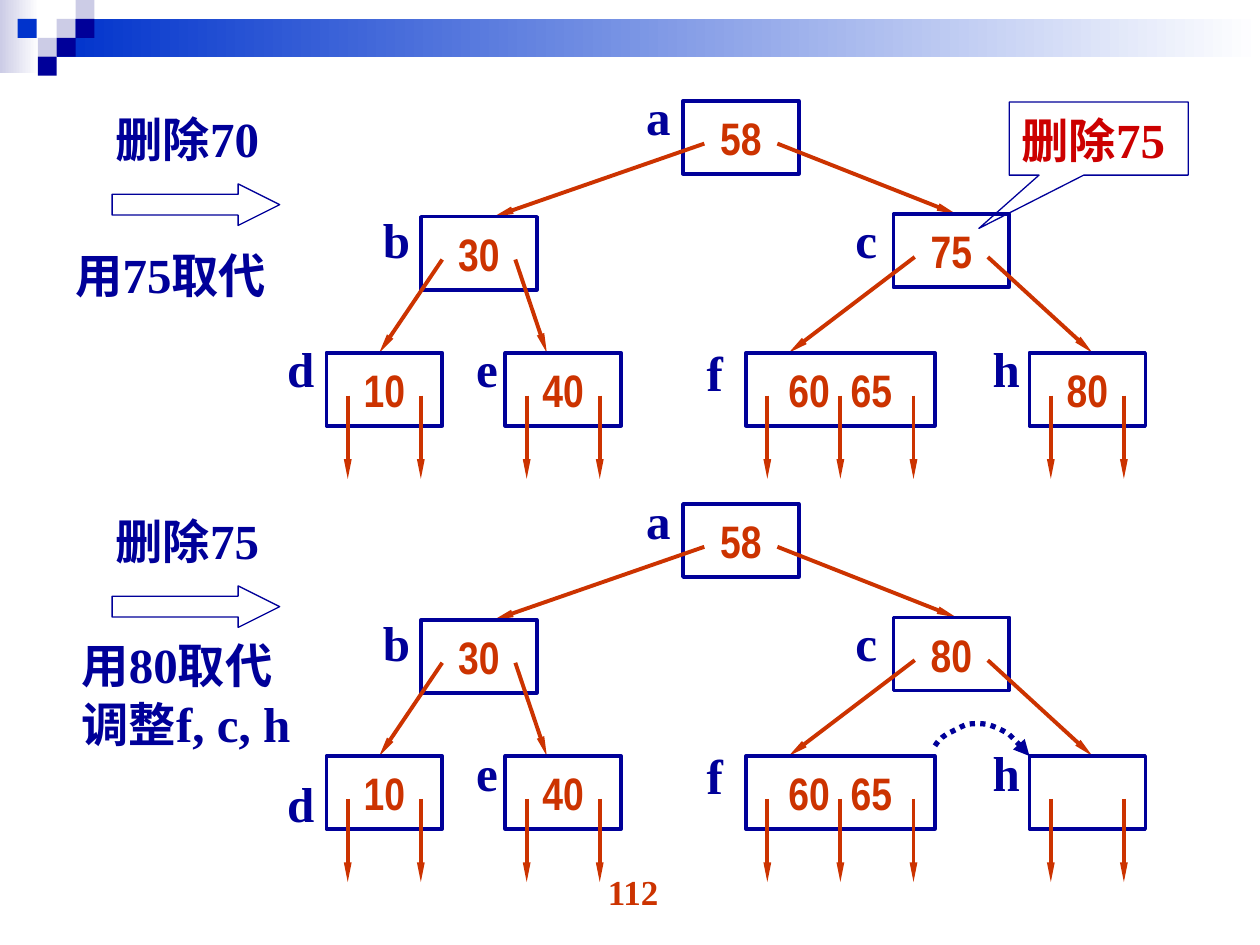
from pptx import Presentation
from pptx.dml.color import RGBColor
from pptx.enum.dml import MSO_LINE
from pptx.enum.shapes import MSO_CONNECTOR, MSO_SHAPE
from pptx.enum.text import MSO_ANCHOR, MSO_AUTO_SIZE, PP_ALIGN
from pptx.oxml.ns import qn
from pptx.oxml.xmlchemy import OxmlElement
from pptx.util import Inches, Pt

RECTANGLE = MSO_SHAPE.RECTANGLE
RIGHT_ARROW = MSO_SHAPE.RIGHT_ARROW
CALLOUT = MSO_SHAPE.RECTANGULAR_CALLOUT
STRAIGHT = MSO_CONNECTOR.STRAIGHT
DOTTED = MSO_LINE.ROUND_DOT
CENTER = PP_ALIGN.CENTER
MIDDLE = MSO_ANCHOR.MIDDLE
GROW = MSO_AUTO_SIZE.SHAPE_TO_FIT_TEXT

NAVY, BLUE, PALE, WHITE = "000099", "0033CC", "CCCCE6", "FFFFFF"
ORANGE, RED = "CC3300", "CC0000"
SERIF, NARROW = "Times New Roman", "Arial Narrow"

NODE_HEIGHT = 0.58
POINTER_INSET, POINTER_STEP, POINTER_DROP = 0.17, 0.58, 0.34
LEAF_POINTER_LENGTH = 0.66

NODES = {
    "a": (2.83, 0, 0.92, 2.44, -0.16, 0.39),
    "b": (0.75, 0.92, 0.92, 0.35, 0.81, 0.41),
    "c": (4.5, 0.9, 0.92, 4.1, 0.81, 0.37),
    "d": (0, 2, 0.92, -0.41, 1.84, 0.41),
    "e": (1.42, 2, 0.92, 1.09, 1.84, 0.37),
    "f": (3.33, 2, 1.5, 2.92, 1.87, 0.33),
    "h": (5.58, 2, 0.92, 5.19, 1.84, 0.41),
}
CHILD_LANDINGS = {
    "a": (("b", 1.33), ("c", 5)),
    "b": (("d", 0.42), ("e", 1.75)),
    "c": (("f", 3.67), ("h", 6.08)),
}


def color(hex_string):
    """Return the colour for a hex string."""
    return RGBColor.from_string(hex_string)


def add_run(paragraph, text, size, font, hex_color):
    """Append one bold run to a paragraph and return it."""
    run = paragraph.add_run()
    run.text = text
    run.font.size = Pt(size)
    run.font.name = font
    run.font.bold = True
    run.font.color.rgb = color(hex_color)
    return run


def add_text(shapes, box, lines, hex_color=NAVY, wrap=False):
    """Add a serif text box from lines of (text, size) runs."""
    shape = shapes.add_textbox(*map(Inches, box))
    frame = shape.text_frame
    frame.word_wrap = wrap
    frame.auto_size = GROW
    for index, runs in enumerate(lines):
        paragraph = frame.add_paragraph() if index else frame.paragraphs[0]
        for text, size in runs:
            add_run(paragraph, text, size, SERIF, hex_color)
    return shape


def add_outline(shapes, kind, box, width):
    """Add an unfilled preset shape with a navy outline."""
    shape = shapes.add_shape(kind, *map(Inches, box))
    shape.shadow.inherit = False
    shape.fill.background()
    shape.line.color.rgb = color(NAVY)
    shape.line.width = Pt(width)
    return shape


def add_arrowhead(shape, width="med", length="med"):
    """Put a triangle at the end of a shape's line."""
    tail = OxmlElement("a:tailEnd")
    tail.set("type", "triangle")
    tail.set("w", width)
    tail.set("len", length)
    shape.line._get_or_add_ln().append(tail)


def add_pointer(shapes, start, end):
    """Add an orange arrow between two points."""
    connector = shapes.add_connector(STRAIGHT, *map(Inches, (*start, *end)))
    connector.line.color.rgb = color(ORANGE)
    connector.line.width = Pt(2.25)
    add_arrowhead(connector, "sm", "lg")
    connector._element.spPr.append(OxmlElement("a:effectLst"))


def add_node(shapes, box, keys):
    """Add a node box with its keys spread apart."""
    frame = add_outline(shapes, RECTANGLE, box, 2).text_frame
    frame.word_wrap = False
    frame.vertical_anchor = MIDDLE
    paragraph = frame.paragraphs[0]
    paragraph.alignment = CENTER
    for index, key in enumerate(keys):
        if index:
            gap = add_run(paragraph, " ", 26, NARROW, ORANGE)
            gap.font._element.set("spc", "590")
        add_run(paragraph, key, 26, NARROW, ORANGE)


def add_tree(slide, left, top, keys, label_shifts):
    """Draw a tree of labelled nodes with its pointers from a corner."""
    shapes = slide.shapes.add_group_shape().shapes
    for name, (x, y, width, label_x, label_y, label_width) in NODES.items():
        x, y = left + x, top + y
        add_node(shapes, (x, y, width, NODE_HEIGHT), keys[name])
        label_top = top + label_y + label_shifts.get(name, 0)
        add_text(shapes, (left + label_x, label_top, label_width, 0.57), [[(name, 28)]])
        starts = [x + POINTER_INSET + POINTER_STEP * index
                  for index in range(3 if name == "f" else 2)]
        start_y = y + POINTER_DROP
        if name in CHILD_LANDINGS:
            ends = [(left + land_x, top + NODES[child][1])
                    for child, land_x in CHILD_LANDINGS[name]]
        else:
            ends = [(start_x, start_y + LEAF_POINTER_LENGTH) for start_x in starts]
        for start_x, end in zip(starts, ends):
            add_pointer(shapes, (start_x, start_y), end)


def add_step(slide, left, top, key, note_box, note_lines):
    """Draw a deletion heading, its block arrow and the note below."""
    shapes = slide.shapes.add_group_shape().shapes
    add_text(shapes, (left, top, 1.43, 0.57), [[("删除", 27), (str(key), 28)]])
    arrow_box = (left + 0.07, top + 0.65, 1.33, 0.33)
    add_outline(shapes, RIGHT_ARROW, arrow_box, 0.75).adjustments[1] = 1
    add_text(shapes, note_box, note_lines)


def add_callout(slide, left, top):
    """Draw the callout that names the next key to delete."""
    shapes = slide.shapes.add_group_shape().shapes
    callout = add_outline(shapes, CALLOUT, (left, top, 1.42, NODE_HEIGHT), 0.75)
    callout.adjustments[0] = -0.67
    callout.adjustments[1] = 1.23
    add_text(shapes, (left, top + 0.01, 1.77, 0.57), [[("删除", 27), ("75", 28)]], RED, True)


def add_header(slide, left, top):
    """Draw the gradient bars and the small squares of the header."""
    shapes = slide.shapes.add_group_shape().shapes
    bars = [((0, 0, 0.31, 0.58), PALE), ((0.45, 0.15, 9.55, 0.3), BLUE)]
    squares = [(0.45, 0.15, PALE), (0.6, 0, PALE), (0.6, 0.15, NAVY), (0.3, 0.3, PALE),
               (0.14, 0.15, BLUE), (0.45, 0.3, NAVY), (0.3, 0.45, NAVY)]
    parts = bars + [((x, y, 0.15, 0.15), fill) for x, y, fill in squares]
    for (x, y, width, height), hex_color in parts:
        shape = shapes.add_shape(RECTANGLE, *map(Inches, (left + x, top + y, width, height)))
        shape.shadow.inherit = False
        shape.line.fill.background()
        if width == height:
            shape.fill.solid()
            shape.fill.fore_color.rgb = color(hex_color)
        else:
            shape.fill.gradient()
            shape.fill.gradient_angle = 0
            for stop, stop_color in zip(shape.fill.gradient_stops, (hex_color, WHITE)):
                stop.color.rgb = color(stop_color)


def add_transfer_curve(slide, left, top):
    """Draw the dotted curved arrow from node f to node h."""
    points = [(0.02, 0.15), (0.04, 0.12), (0.09, 0.09), (0.13, 0.07), (0.2, 0.03),
              (0.25, 0.01), (0.31, 0), (0.36, 0), (0.42, 0.01), (0.48, 0.03),
              (0.53, 0.05), (0.59, 0.09), (0.64, 0.14), (0.73, 0.23), (0.75, 0.26)]
    builder = slide.shapes.build_freeform(Inches(left), Inches(top + 0.18), scale=1.0)
    builder.add_line_segments([(Inches(left + x), Inches(top + y)) for x, y in points], close=False)
    curve = builder.convert_to_shape()
    segments = list(curve._element.iter(qn("a:lnTo")))
    for index in range(0, len(segments), 3):
        bezier = OxmlElement("a:cubicBezTo")
        segments[index].addprevious(bezier)
        for segment in segments[index:index + 3]:
            bezier.append(segment[0])
            segment.getparent().remove(segment)
    curve.shadow.inherit = False
    curve.fill.background()
    curve.line.color.rgb = color(NAVY)
    curve.line.width = Pt(3)
    curve.line.dash_style = DOTTED
    add_arrowhead(curve)


def main():
    """Build the slide and save it."""
    presentation = Presentation()
    presentation.slide_width, presentation.slide_height = Inches(10), Inches(7.5)
    slide = presentation.slides.add_slide(presentation.slide_layouts[6])
    add_header(slide, 0, 0)
    number = add_text(slide.shapes, (3.86, 6.86, 2.33, 0.52), [[("112", 20)]], ORANGE, True)
    number.text_frame.paragraphs[0].alignment = CENTER
    before = dict(a=["58"], b=["30"], c=["75"], d=["10"], e=["40"], f=["60", "65"], h=["80"])
    add_tree(slide, 2.59, 0.8, before, {})
    add_step(slide, 0.82, 0.81, 70, (0.5, 1.89, 1.89, 0.57),
             [[("用", 27), ("75", 28), ("取代", 27)]])
    add_callout(slide, 8.01, 0.81)
    add_tree(slide, 2.59, 4, {**before, "c": ["80"], "h": []}, {"d": 0.25})
    add_step(slide, 0.82, 4, 75, (0.55, 4.99, 1.94, 1.04),
             [[("用", 27), ("80", 28), ("取代", 27)], [("调整", 27), ("f, c, h", 28)]])
    add_transfer_curve(slide, 7.42, 5.74)
    presentation.save("out.pptx")


if __name__ == "__main__":
    main()
